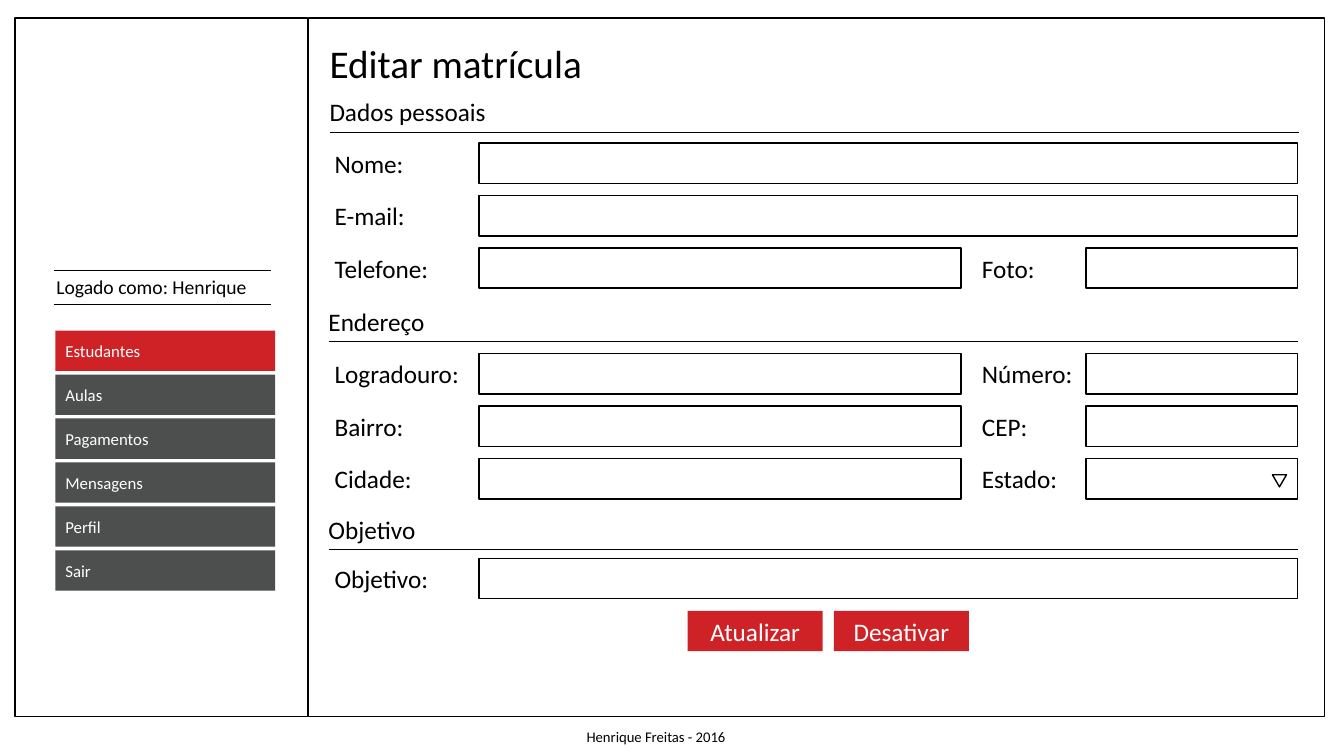
from lxml.etree import SubElement
from pptx import Presentation
from pptx.dml.color import RGBColor
from pptx.enum.shapes import MSO_CONNECTOR as CONNECTOR, MSO_SHAPE as SHAPE
from pptx.enum.text import MSO_ANCHOR as ANCHOR, MSO_AUTO_SIZE as AUTO_SIZE, PP_ALIGN as ALIGN
from pptx.oxml.ns import qn
from pptx.util import Inches, Pt

BLACK, WHITE, RED, GRAY = "000000", "FFFFFF", "CF2227", "4D4E4E"
FONT = "Calibri"
ROW_HEIGHT, ROW_STEP = 0.4, 0.52
LABEL_LEFT, SIDE_LABEL_LEFT = 3.22, 9.64
FIELD_LEFT, SIDE_FIELD_LEFT = 4.75, 10.77
FULL, MAIN, SIDE = 8.12, 4.78, 2.1
RULE_LENGTH = 9.61

PANELS = [(3.06, 10.08), (0.15, 2.9)]
LOGIN = ("Logado como: Henrique", 0.46, 2.68, 2.11, 0.34, 14)
FOOTER = ("Henrique Freitas - 2016", 5.72, 7.17, 1.61, 0.28, 10.5)
TITLE = ("Editar matrícula", 3.17, 0.34, 2.73, 0.57, 28)
MENU = ["Estudantes", "Aulas", "Pagamentos", "Mensagens", "Perfil", "Sair"]
ACTIVE_ITEM = "Estudantes"
ACTIONS = ["Atualizar", "Desativar"]

# Each row: main label, its width, field width, then the optional side label and its width.
SECTIONS = [
    ("Dados pessoais", 3.17, 0.91, 1.77, 1.42, [
        ("Nome:", 0.89, FULL, None),
        ("E-mail:", 0.91, FULL, None),
        ("Telefone:", 1.14, MAIN, ("Foto:", 0.73)),
    ]),
    ("Endereço", 3.16, 2.99, 1.17, 3.51, [
        ("Logradouro:", 1.45, MAIN, ("Número:", 1.11)),
        ("Bairro:", 0.89, MAIN, ("CEP:", 0.66)),
        ("Cidade:", 0.98, MAIN, ("Estado:", 0.96)),
    ]),
    ("Objetivo", 3.16, 5.05, 1.07, 5.54, [
        ("Objetivo:", 1.14, FULL, None),
    ]),
]


def color(value):
    return RGBColor.from_string(value)


def style(frame, words, size, ink, align=ALIGN.LEFT):
    frame.text = words
    paragraph = frame.paragraphs[0]
    paragraph.alignment = align
    font = paragraph.runs[0].font
    font.name, font.size = FONT, Pt(size)
    font.color.rgb = color(ink)


def add_label(slide, words, left, top, width, height=ROW_HEIGHT, size=18):
    frame = slide.shapes.add_textbox(*map(Inches, (left, top, width, height))).text_frame
    frame.word_wrap = False
    frame.auto_size = AUTO_SIZE.SHAPE_TO_FIT_TEXT
    style(frame, words, size, BLACK)


def add_outline(slide, left, top, width, height=ROW_HEIGHT, kind=SHAPE.RECTANGLE):
    outline = slide.shapes.add_shape(kind, *map(Inches, (left, top, width, height)))
    outline.shadow.inherit = False
    outline.fill.background()
    outline.line.color.rgb = color(BLACK)
    outline.line.width = Pt(1)
    return outline


def add_button(slide, words, left, top, width, fill, size, align):
    button = slide.shapes.add_shape(
        SHAPE.RECTANGLE, *map(Inches, (left, top, width, ROW_HEIGHT)))
    button.shadow.inherit = False
    button.fill.solid()
    button.fill.fore_color.rgb = color(fill)
    button.line.fill.background()
    button.text_frame.vertical_anchor = ANCHOR.MIDDLE
    style(button.text_frame, words, size, WHITE, align)


def add_rule(slide, left, top, length):
    rule = slide.shapes.add_connector(
        CONNECTOR.STRAIGHT, *map(Inches, (left, top, left + length, top)))
    rule.line.color.rgb = color(BLACK)
    rule.line.width = Pt(0.5)
    SubElement(rule._element.spPr, qn("a:effectLst"))


def add_section(slide, heading, left, top, width, first_row, rows):
    add_label(slide, heading, left, top, width)
    add_rule(slide, left + 0.1, top + 0.4, RULE_LENGTH)
    for index, (label, label_width, field_width, side) in enumerate(rows):
        row_top = first_row + index * ROW_STEP
        add_label(slide, label, LABEL_LEFT, row_top, label_width)
        add_outline(slide, FIELD_LEFT, row_top, field_width)
        if side:
            side_label, side_width = side
            add_label(slide, side_label, SIDE_LABEL_LEFT, row_top, side_width)
            add_outline(slide, SIDE_FIELD_LEFT, row_top, SIDE)


def main():
    """Build the enrolment editing form and save it."""
    deck = Presentation()
    deck.slide_width, deck.slide_height = Inches(13.33), Inches(7.5)
    slide = deck.slides.add_slide(deck.slide_layouts[6])

    for left, width in PANELS:
        add_outline(slide, left, 0.18, width, 6.93)
    for caption in (LOGIN, FOOTER, TITLE):
        add_label(slide, *caption)
    for top in (2.68, 3.02):
        add_rule(slide, 0.54, top, 2.15)

    for index, item in enumerate(MENU):
        fill = RED if item == ACTIVE_ITEM else GRAY
        add_button(slide, item, 0.55, 3.28 + index * 0.436, 2.18, fill, 12, ALIGN.LEFT)

    for section in SECTIONS:
        add_section(slide, *section)
    state_arrow = add_outline(slide, 12.62, 4.71, 0.14, 0.12, SHAPE.ISOSCELES_TRIANGLE)
    state_arrow.rotation = 180

    for index, action in enumerate(ACTIONS):
        add_button(slide, action, 6.82 + index * 1.45, 6.06, 1.34, RED, 18, ALIGN.CENTER)

    deck.save("out.pptx")


if __name__ == "__main__":
    main()
